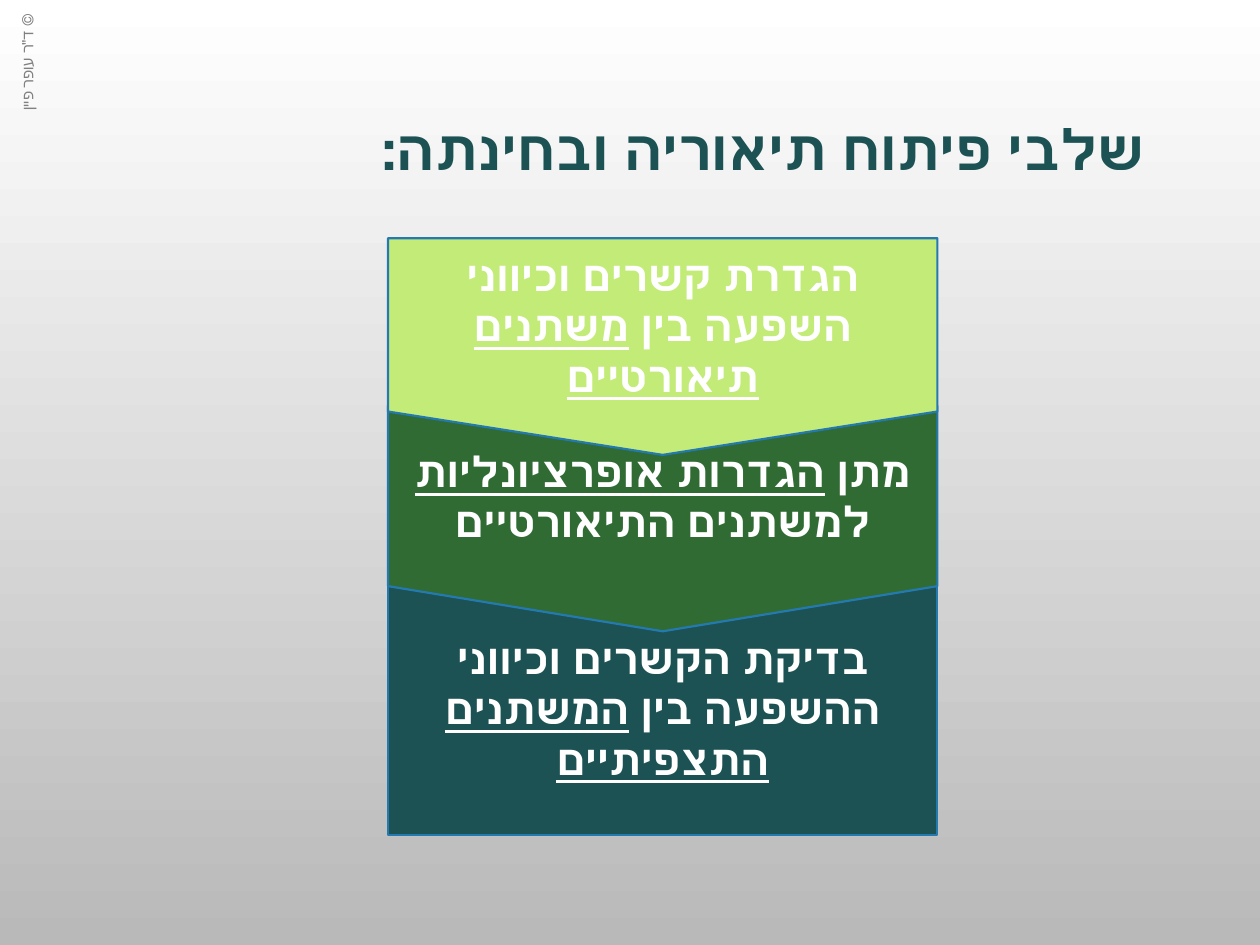
from pptx import Presentation
from pptx.dml.color import RGBColor
from pptx.enum.shapes import MSO_SHAPE as SHAPE
from pptx.enum.text import MSO_ANCHOR as ANCHOR, MSO_AUTO_SIZE as AUTO, PP_ALIGN as ALIGN
from pptx.util import Inches, Pt

CREDIT = [('© ד"ר עופר פיין', False)]
TITLE = [("שלבי פיתוח תיאוריה ובחינתה:", False)]
LEFT, WIDTH = 3.08, 4.36
STEPS = [
    (SHAPE.FLOWCHART_PROCESS, 4.61, 2.02, "1C5253",
     [("בדיקת הקשרים וכיווני ההשפעה בין ", False), ("המשתנים התצפיתיים", True)]),
    (SHAPE.FLOWCHART_OFFPAGE_CONNECTOR, 3.22, 1.79, "306B34",
     [("מתן ", False), ("הגדרות אופרציונליות ", True), ("למשתנים התיאורטיים", False)]),
    (SHAPE.FLOWCHART_OFFPAGE_CONNECTOR, 1.89, 1.72, "C3EB78",
     [("הגדרת קשרים וכיווני השפעה בין ", False), ("משתנים תיאורטיים", True)]),
]


def rgb(value):
    return RGBColor.from_string(value)


def write(sp, runs, size, color, align=ALIGN.CENTER, font="Arial", bold=True, anchor=ANCHOR.MIDDLE):
    tf = sp.text_frame
    tf.word_wrap = True
    tf.vertical_anchor = anchor
    p = tf.paragraphs[0]
    p.alignment = align
    p._p.get_or_add_pPr().set("rtl", "1")
    for text, underline in runs:
        r = p.add_run()
        r.text = text
        r.font.name = font
        r.font.size = Pt(size)
        r.font.bold = bold
        r.font.underline = underline
        r.font.color.rgb = rgb(color)


def add_text(s, left, top, width, height):
    return s.shapes.add_textbox(Inches(left), Inches(top), Inches(width), Inches(height))


def add_step(s, kind, top, height, color, runs):
    sp = s.shapes.add_shape(kind, Inches(LEFT), Inches(top), Inches(WIDTH), Inches(height))
    sp.shadow.inherit = False
    sp.fill.solid()
    sp.fill.fore_color.rgb = rgb(color)
    sp.line.color.rgb = rgb("2379B0")
    sp.line.width = Pt(1.25)
    write(sp, runs, 24, "FFFFFF")


def main():
    prs = Presentation()
    prs.slide_width, prs.slide_height = Inches(10), Inches(7.5)
    s = prs.slides.add_slide(prs.slide_layouts[6])

    fill = s.background.fill
    fill.gradient()
    fill.gradient_angle = 270
    for stop, color in zip(fill.gradient_stops, ("FFFFFF", "B9B9B9")):
        stop.color.rgb = rgb(color)

    credit = add_text(s, -0.28, 0.37, 0.99, 0.25)
    credit.rotation = 270
    write(credit, CREDIT, 9, "808080", font="Roboto", bold=False, anchor=ANCHOR.TOP)
    credit.text_frame.auto_size = AUTO.SHAPE_TO_FIT_TEXT

    write(add_text(s, 0.19, 0.86, 9, 0.63), TITLE, 32, "1C5253", ALIGN.RIGHT)

    for step in STEPS:
        add_step(s, *step)

    prs.save("out.pptx")


if __name__ == "__main__":
    main()
